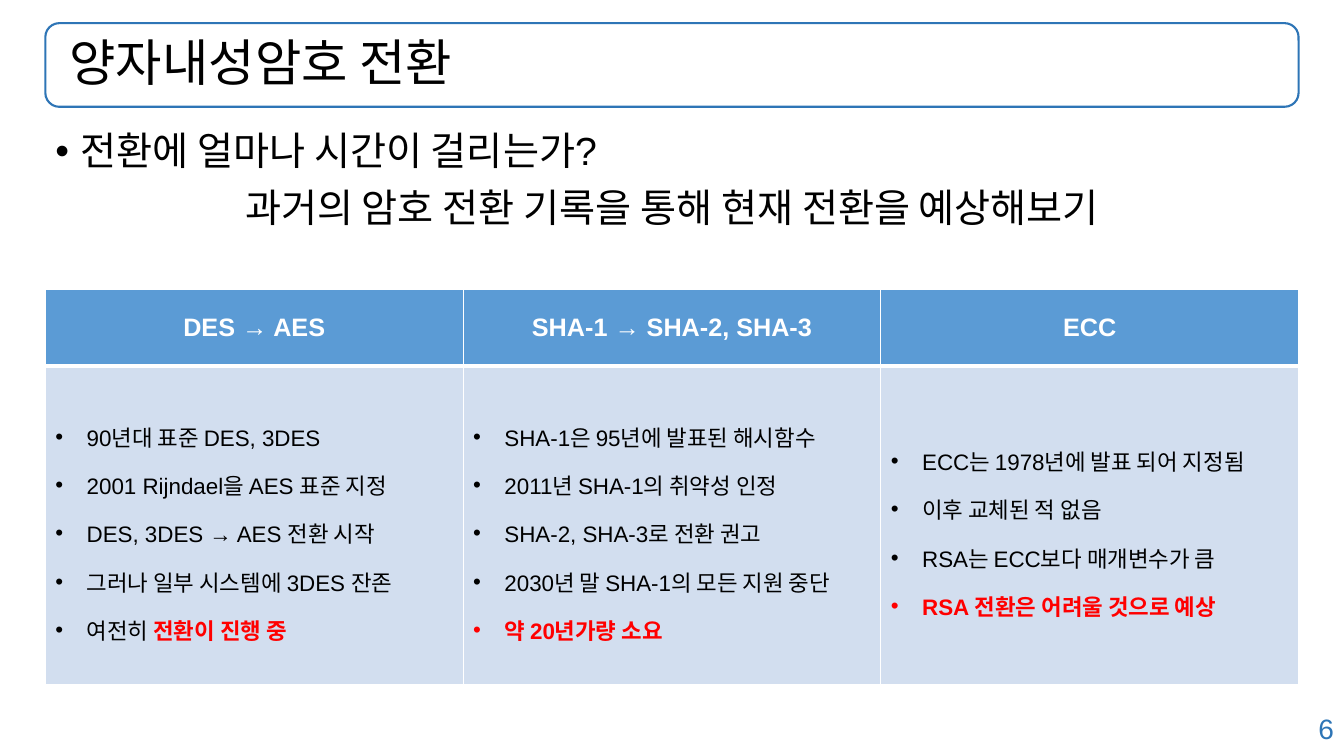
from dataclasses import dataclass

from lxml import etree
from pptx import Presentation
from pptx import util as u
from pptx.dml.color import RGBColor
from pptx.enum import shapes, text
from pptx.oxml import ns


@dataclass(frozen=True)
class Theme:
    face: str = "Arial"
    ink: str = "000000"
    line: str = "2E75B6"
    head: str = "5B9BD5"
    cell: str = "D2DEEF"
    white: str = "FFFFFF"
    alert: str = "FF0000"
    title: int = 36
    body: int = 28
    label: int = 18
    item: int = 16
    page: int = 20


THEME = Theme()
LEFT, WIDTH = 0.45, 12.43

# Each column: heading, then items as (plain text, red text)
COLUMNS = [
    ("DES → AES", [
        ("90년대 표준 DES, 3DES", ""),
        ("2001 Rijndael을 AES 표준 지정", ""),
        ("DES, 3DES → AES 전환 시작", ""),
        ("그러나 일부 시스템에 3DES 잔존", ""),
        ("여전히 ", "전환이 진행 중"),
    ]),
    ("SHA-1 → SHA-2, SHA-3", [
        ("SHA-1은 95년에 발표된 해시함수", ""),
        ("2011년 SHA-1의 취약성 인정", ""),
        ("SHA-2, SHA-3로 전환 권고", ""),
        ("2030년 말 SHA-1의 모든 지원 중단", ""),
        ("", "약 20년가량 소요"),
    ]),
    ("ECC", [
        ("ECC는 1978년에 발표 되어 지정됨", ""),
        ("이후 교체된 적 없음", ""),
        ("RSA는 ECC보다 매개변수가 큼", ""),
        ("", "RSA 전환은 어려울 것으로 예상"),
    ]),
]


def style(run, size, color, bold=False):
    font = run.font
    font.name, font.size, font.bold = THEME.face, u.Pt(size), bold
    font.color.rgb = RGBColor.from_string(color)


def bullet(para, indent):
    props = para._p.get_or_add_pPr()
    props.set("marL", str(u.Inches(indent)))
    props.set("indent", str(-u.Inches(indent)))
    etree.SubElement(props, ns.qn("a:buFont")).set("typeface", THEME.face)
    etree.SubElement(props, ns.qn("a:buChar")).set("char", "•")


def border(cell, top, bottom):
    """Draw white cell edges, with the top and bottom widths in points."""
    props = cell._tc.get_or_add_tcPr()
    for side, width in zip("LRTB", (1, 1, top, bottom)):
        edge = etree.SubElement(props, ns.qn("a:ln" + side), w=str(u.Pt(width)))
        fill = etree.SubElement(edge, ns.qn("a:solidFill"))
        etree.SubElement(fill, ns.qn("a:srgbClr"), val=THEME.white)


def paint(cell, color):
    cell.fill.solid()
    cell.fill.fore_color.rgb = RGBColor.from_string(color)
    cell.vertical_anchor = text.MSO_ANCHOR.MIDDLE


def textbox(slide, box):
    frame = slide.shapes.add_textbox(*map(u.Inches, box)).text_frame
    frame.word_wrap = True
    return frame


def title(slide, box):
    panel = slide.shapes.add_shape(
        shapes.MSO_SHAPE.ROUNDED_RECTANGLE, *map(u.Inches, box))
    panel.shadow.inherit = False
    panel.fill.background()
    panel.line.color.rgb = RGBColor.from_string(THEME.line)
    panel.line.width = u.Pt(1.5)
    frame = textbox(slide, box)
    frame.margin_left = u.Inches(0.24)
    frame.vertical_anchor = text.MSO_ANCHOR.MIDDLE
    frame.text = "양자내성암호 전환"
    para = frame.paragraphs[0]
    para.line_spacing = 0.9
    style(para.runs[0], THEME.title, THEME.ink)


def body(slide, box):
    frame = textbox(slide, box)
    frame.text = ("전환에 얼마나 시간이 걸리는가?\n"
                  "과거의 암호 전환 기록을 통해 현재 전환을 예상해보기")
    ask, answer = frame.paragraphs
    bullet(ask, 0.25)
    answer.alignment = text.PP_ALIGN.CENTER
    answer.space_before = u.Pt(10)
    for para in (ask, answer):
        para.line_spacing = 0.9
        style(para.runs[0], THEME.body, THEME.ink)


def heading(cell, label):
    border(cell, 1, 3)
    paint(cell, THEME.head)
    cell.text_frame.text = label
    para = cell.text_frame.paragraphs[0]
    para.alignment = text.PP_ALIGN.CENTER
    style(para.runs[0], THEME.label, THEME.white, True)


def listing(cell, items):
    border(cell, 3, 1)
    paint(cell, THEME.cell)
    frame = cell.text_frame
    for i, (plain, red) in enumerate(items):
        para = frame.add_paragraph() if i else frame.paragraphs[0]
        bullet(para, 0.31)
        para.line_spacing = 1.5
        for words, color in ((plain, THEME.ink), (red, THEME.alert)):
            if words:
                run = para.add_run()
                run.text = words
                style(run, THEME.item, color, color == THEME.alert)


def history(slide, box):
    """Place the table of past cipher transitions."""
    count = len(COLUMNS)
    table = slide.shapes.add_table(2, count, *map(u.Inches, box)).table
    top = 0.76
    table.rows[0].height = u.Inches(top)
    table.rows[1].height = u.Inches(box[3] - top)
    for i, (label, items) in enumerate(COLUMNS):
        table.columns[i].width = u.Inches(box[2] / count)
        heading(table.cell(0, i), label)
        listing(table.cell(1, i), items)


def number(slide, box):
    frame = textbox(slide, box)
    frame.text = "6"
    para = frame.paragraphs[0]
    para.alignment = text.PP_ALIGN.RIGHT
    style(para.runs[0], THEME.page, THEME.line)


def main():
    deck = Presentation()
    deck.slide_width, deck.slide_height = u.Inches(13.33), u.Inches(7.5)
    slide = deck.slides.add_slide(deck.slide_layouts[6])
    number(slide, (9.43, 7.01, 3.9, 0.44))
    title(slide, (LEFT, 0.23, WIDTH, 0.83))
    body(slide, (LEFT, 1.26, WIDTH, 5.53))
    history(slide, (LEFT, 2.87, WIDTH, 3.92))
    deck.save("out.pptx")


if __name__ == "__main__":
    main()
